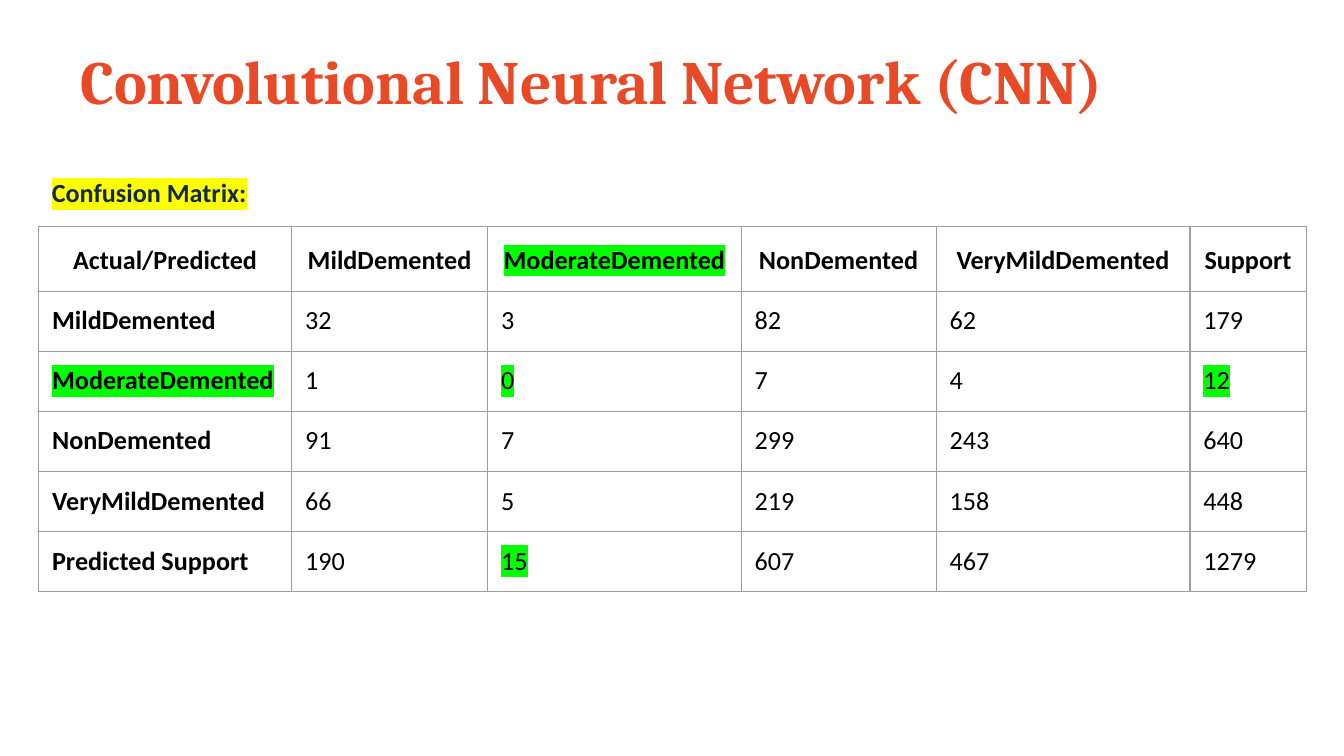
"""Build a slide with the confusion matrix of a convolutional neural network."""
from lxml import etree
from pptx import Presentation
from pptx.dml.color import RGBColor
from pptx.enum import text
from pptx.oxml.ns import qn
from pptx.util import Pt

TITLE = "Convolutional Neural Network (CNN)"
CAPTION = "Confusion Matrix:"
HEADER = ["Actual/Predicted", "MildDemented", "ModerateDemented",
          "NonDemented", "VeryMildDemented", "Support"]
ROWS = [
    ["MildDemented", 32, 3, 82, 62, 179],
    ["ModerateDemented", 1, 0, 7, 4, 12],
    ["NonDemented", 91, 7, 299, 243, 640],
    ["VeryMildDemented", 66, 5, 219, 158, 448],
    ["Predicted Support", 190, 15, 607, 467, 1279],
]
MARKED = {(0, 2), (2, 0), (2, 2), (2, 5), (5, 2)}
COL_WIDTHS = [135.6, 105, 135.8, 104.5, 136, 62.2]
ROW_HEIGHTS = [35] + [32.2] * len(ROWS)
LEFT, TABLE_TOP = 20.7, 121.2

THEME = {
    "title": {"name": "Cambria", "size": Pt(33), "bold": True, "color": "E84A27"},
    "caption": {"name": "Calibri", "size": Pt(14), "bold": True, "color": "13294B"},
    "label": {"name": "Calibri", "size": Pt(14), "bold": True, "color": "000000"},
    "value": {"name": "Calibri", "size": Pt(14), "bold": False, "color": "000000"},
    "border": "9E9E9E",
    "caption_mark": "FFFF00",
    "cell_mark": "00FF00",
}


def set_all(obj, values):
    """Set each named attribute of an object."""
    for name, value in values.items():
        setattr(obj, name, value)


def add_color(parent, tag, color):
    """Append an element that holds one RGB colour."""
    el = etree.SubElement(parent, qn(tag))
    etree.SubElement(el, qn("a:srgbClr"), val=color)
    return el


def write(p, content, style, mark=None):
    """Add one formatted run to a paragraph, highlighted if a mark is given."""
    r = p.add_run()
    r.text = str(content)
    set_all(r.font, {k: v for k, v in THEME[style].items() if k != "color"})
    r.font.color.rgb = RGBColor.from_string(THEME[style]["color"])
    if mark:
        rPr = r.font._element
        rPr.find(qn("a:solidFill")).addnext(add_color(rPr, "a:highlight", mark))


def margins(x, y):
    """Return equal side margins and equal top and bottom margins."""
    return {"margin_left": Pt(x), "margin_right": Pt(x),
            "margin_top": Pt(y), "margin_bottom": Pt(y)}


def add_borders(cell):
    """Draw a thin line on all four sides of a cell."""
    tcPr = cell._tc.get_or_add_tcPr()
    for i, side in enumerate(("a:lnL", "a:lnR", "a:lnT", "a:lnB")):
        ln = etree.Element(qn(side), w=str(Pt(0.75)))
        add_color(ln, "a:solidFill", THEME["border"])
        tcPr.insert(i, ln)


def add_title(s):
    """Place and fill the title placeholder."""
    sp = s.shapes.title
    set_all(sp, {"left": Pt(38.2), "top": Pt(5.8), "width": Pt(678), "height": Pt(78.5)})
    tf = sp.text_frame
    set_all(tf, {"vertical_anchor": text.MSO_ANCHOR.MIDDLE, "word_wrap": True,
                 "auto_size": text.MSO_AUTO_SIZE.NONE, **margins(5, 2.9)})
    p = tf.paragraphs[0]
    set_all(p, {"alignment": text.PP_ALIGN.LEFT, "line_spacing": 0.9})
    write(p, TITLE, "title")


def add_matrix(s):
    """Add the confusion matrix table."""
    grid = [HEADER] + ROWS
    frame = s.shapes.add_table(len(grid), len(HEADER), Pt(LEFT), Pt(TABLE_TOP),
                               Pt(sum(COL_WIDTHS)), Pt(sum(ROW_HEIGHTS)))
    table = frame.table
    set_all(table, {"first_row": False, "horz_banding": False})
    for col, width in zip(table.columns, COL_WIDTHS):
        col.width = Pt(width)
    for row, height in zip(table.rows, ROW_HEIGHTS):
        row.height = Pt(height)
    for i, values in enumerate(grid):
        for j, value in enumerate(values):
            cell = table.cell(i, j)
            set_all(cell, margins(7.2, 7.2))
            cell.fill.background()
            add_borders(cell)
            p = cell.text_frame.paragraphs[0]
            if i == 0:
                set_all(p, {"alignment": text.PP_ALIGN.CENTER, "line_spacing": 1.15})
            write(p, value, "label" if i == 0 or j == 0 else "value",
                  THEME["cell_mark"] if (i, j) in MARKED else None)


def add_caption(s):
    """Add the highlighted caption above the table."""
    tf = s.shapes.add_textbox(Pt(LEFT), Pt(87.3), Pt(236), Pt(31.5)).text_frame
    set_all(tf, {"word_wrap": True, "auto_size": text.MSO_AUTO_SIZE.SHAPE_TO_FIT_TEXT,
                 **margins(7.2, 7.2)})
    write(tf.paragraphs[0], CAPTION, "caption", THEME["caption_mark"])


def main():
    """Create and save the presentation."""
    prs = Presentation()
    set_all(prs, {"slide_width": Pt(720), "slide_height": Pt(405)})
    s = prs.slides.add_slide(prs.slide_layouts[5])
    add_title(s)
    add_matrix(s)
    add_caption(s)
    prs.save("out.pptx")


if __name__ == "__main__":
    main()
